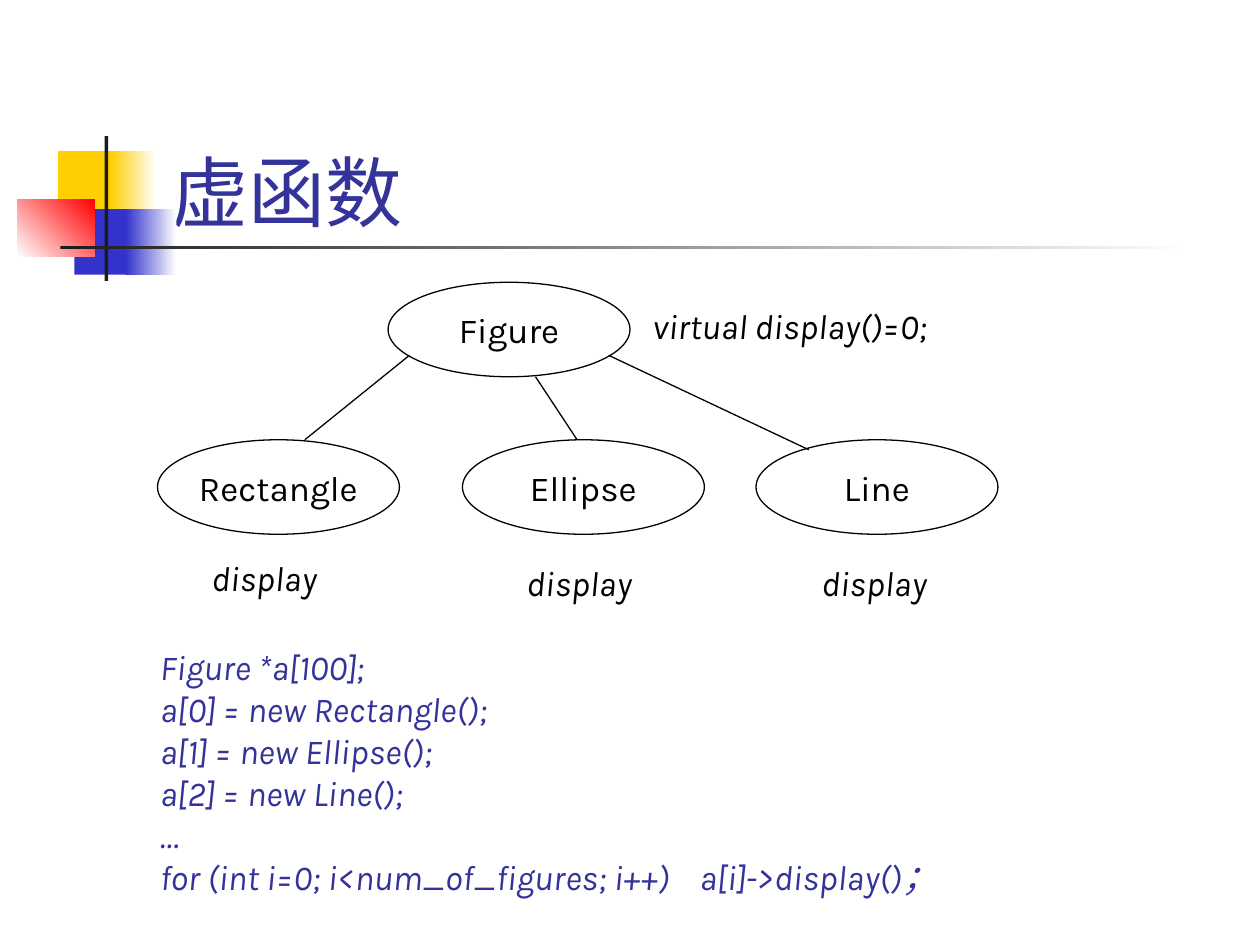
from pptx import Presentation
from pptx.dml.color import RGBColor
from pptx.enum.shapes import MSO_CONNECTOR, MSO_SHAPE
from pptx.enum.text import MSO_ANCHOR, MSO_AUTO_SIZE, PP_ALIGN
from pptx.oxml.ns import qn
from pptx.util import Inches, Pt
from lxml.etree import SubElement

COLORS = {
    "black": "000000",
    "white": "FFFFFF",
    "navy": "333399",
    "yellow": "FFCF01",
    "blue": "3333CC",
    "red": "FF0000",
    "charcoal": "1C1C1C",
}


def rgb(name):
    return RGBColor.from_string(COLORS[name])


class SlideBuilder:
    font = "Karla"
    text_size = 20
    line_width = Pt(0.75)

    def __init__(self, slide):
        self.slide = slide

    def format_text(self, text_frame, color="black", size=text_size, italic=False, align=PP_ALIGN.LEFT):
        for paragraph in text_frame.paragraphs:
            paragraph.alignment = align
            for run in paragraph.runs:
                run.font.name = self.font
                run.font.size = Pt(size)
                run.font.italic = italic
                run.font.color.rgb = rgb(color)

    def title(self, text, left, top, width, height):
        title = self.slide.shapes.title
        title.left, title.top = Inches(left), Inches(top)
        title.width, title.height = Inches(width), Inches(height)
        text_frame = title.text_frame
        text_frame.text = text
        text_frame.vertical_anchor = MSO_ANCHOR.BOTTOM
        text_frame.auto_size = MSO_AUTO_SIZE.NONE
        self.format_text(text_frame, "navy", 44)

    def shape(self, kind, left, top, width, height):
        shape = self.slide.shapes.add_shape(
            kind, Inches(left), Inches(top), Inches(width), Inches(height))
        shape.shadow.inherit = False
        return shape

    def block(self, box, start, end=None, angle=0):
        """Borderless rectangle, solid or fading from start to end."""
        block = self.shape(MSO_SHAPE.RECTANGLE, *box)
        block.line.fill.background()
        if end is None:
            block.fill.solid()
            block.fill.fore_color.rgb = rgb(start)
            return
        block.fill.gradient()
        block.fill.gradient_angle = angle
        for stop, color, position in zip(block.fill.gradient_stops, (start, end), (0, 1)):
            stop.color.rgb = rgb(color)
            stop.position = position

    def class_node(self, name, left, top):
        node = self.shape(MSO_SHAPE.OVAL, left, top, 1.92, 0.75)
        node.fill.background()
        node.line.color.rgb = rgb("black")
        node.line.width = self.line_width
        text_frame = node.text_frame
        text_frame.text = name
        text_frame.word_wrap = False
        text_frame.vertical_anchor = MSO_ANCHOR.MIDDLE
        self.format_text(text_frame, align=PP_ALIGN.CENTER)

    def code(self, text, left, top, width, height=0.43, color="black", wrap=False):
        box = self.slide.shapes.add_textbox(
            Inches(left), Inches(top), Inches(width), Inches(height))
        text_frame = box.text_frame
        text_frame.text = text
        text_frame.word_wrap = wrap
        text_frame.auto_size = MSO_AUTO_SIZE.SHAPE_TO_FIT_TEXT
        self.format_text(text_frame, color, italic=True)

    def line(self, start, end):
        points = [Inches(value) for value in (*start, *end)]
        connector = self.slide.shapes.add_connector(MSO_CONNECTOR.STRAIGHT, *points)
        connector.line.color.rgb = rgb("black")
        connector.line.width = self.line_width
        SubElement(connector._element.spPr, qn("a:effectLst"))


def main():
    presentation = Presentation()
    presentation.slide_width, presentation.slide_height = Inches(10), Inches(7.5)
    title_only = presentation.slide_layouts[5]
    builder = SlideBuilder(presentation.slides.add_slide(title_only))

    builder.block((0.46, 1.2, 0.48, 0.52), "yellow")
    builder.block((0.88, 1.2, 0.36, 0.52), "yellow", "white")
    builder.block((0.59, 1.66, 0.46, 0.52), "blue")
    builder.block((1, 1.66, 0.4, 0.52), "blue", "white")
    builder.block((0.14, 1.58, 0.61, 0.46), "white", "red", angle=45)
    builder.block((0.83, 1.08, 0.03, 1.15), "charcoal")
    builder.block((0.48, 1.95, 9, 0.03), "charcoal", "white")
    builder.title("虚函数", 1.26, 0.68, 8.52, 1.25)

    builder.class_node("Figure", 3.08, 2.24)
    for name, left in (("Rectangle", 1.25), ("Ellipse", 3.67), ("Line", 6)):
        builder.class_node(name, left, 3.49)

    builder.code("virtual display()=0;", 5.08, 2.37, 2.56)
    builder.code("display", 1.58, 4.37, 1.04)
    for left in (4.08, 6.42):
        builder.code("display", left, 4.41, 1.16, wrap=True)

    for start, end in (
        ((3.25, 2.82), (2.42, 3.49)),
        ((4.25, 2.99), (4.58, 3.49)),
        ((4.83, 2.82), (6.42, 3.57)),
    ):
        builder.line(start, end)

    usage = (
        "Figure *a[100];",
        "a[0] = new Rectangle();",
        "a[1] = new Ellipse();",
        "a[2] = new Line();",
        "…",
        "for (int i=0; i<num_of_figures; i++)    a[i]->display()；",
    )
    builder.code("\n".join(usage), 1.17, 5.07, 7.08, 2.1, color="navy")

    presentation.save("out.pptx")


if __name__ == "__main__":
    main()
